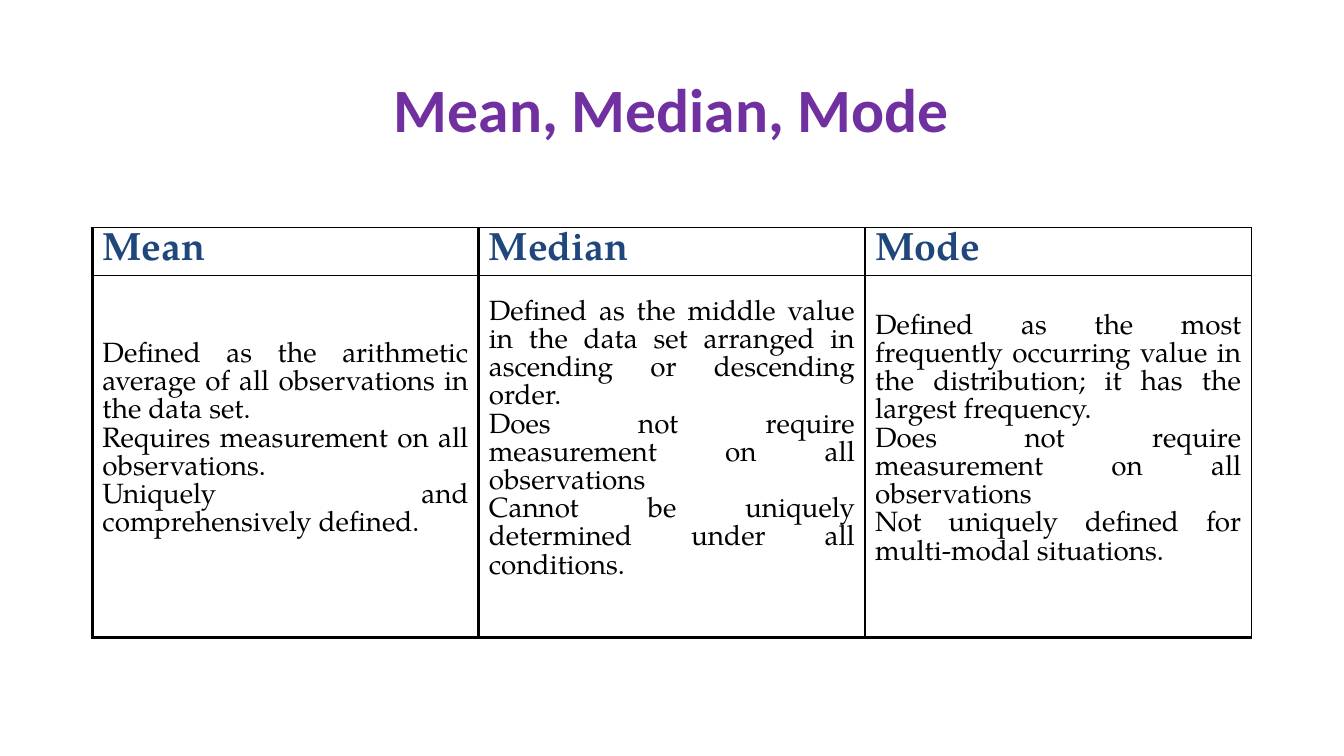
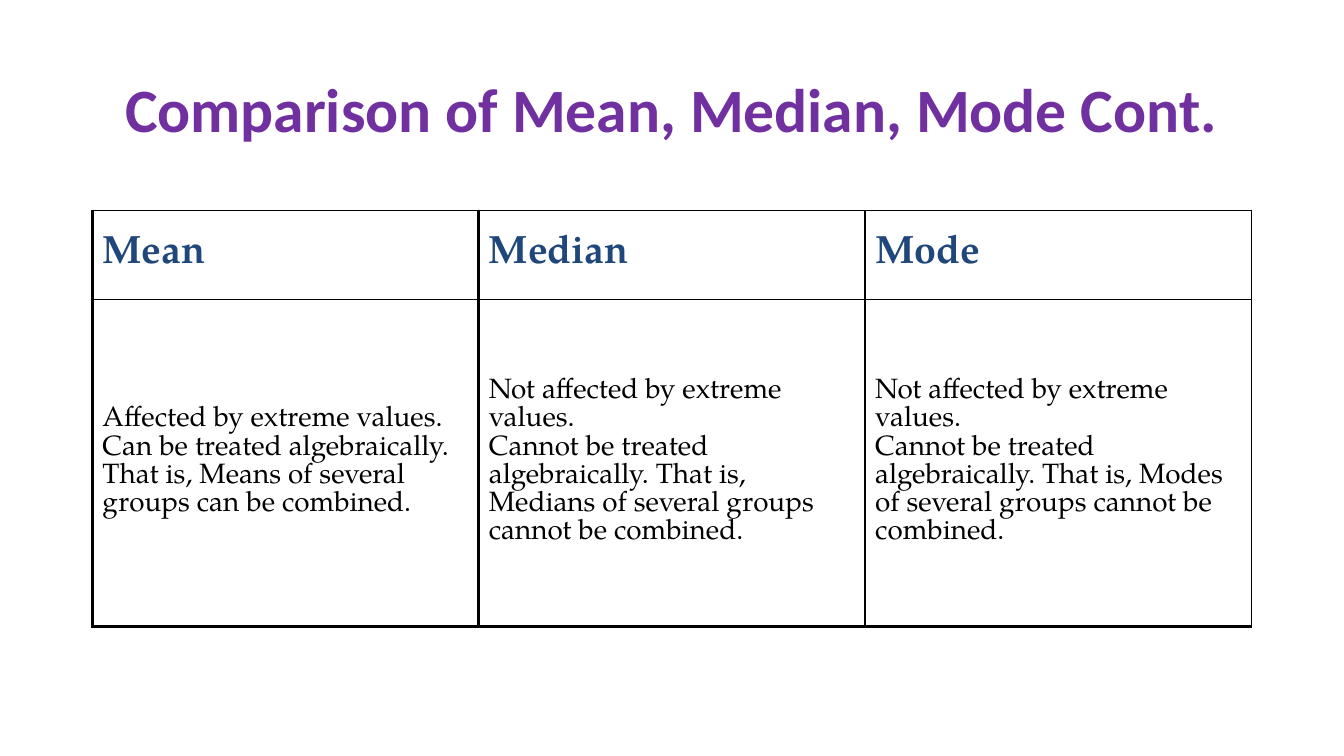
from dataclasses import dataclass

from lxml import etree
from pptx import Presentation
from pptx import util as u
from pptx.dml import color
from pptx.enum import text
from pptx.oxml import ns


@dataclass(frozen=True)
class Theme:
    """Colours, fonts and sizes shared by the slides."""
    title_color: str = "7030A0"
    header_color: str = "1F477B"
    ink: str = "000000"
    title_font: str = "Calibri"
    table_font: str = "TeX Gyre Pagella"
    title_size: float = 44
    header_size: float = 28.1
    body_size: float = 19.9
    thin: float = 0.75
    thick: float = 2.25


THEME = Theme()
PX = 9525
SLIDE_SIZE = (1280, 720)
TITLE_BOX = (88, 38, 1104, 139)
HEADERS = ["Mean", "Median", "Mode"]
SLIDES = [
    dict(
        title="Mean, Median, Mode",
        box=(88, 217, 1104, 390),
        header_height=45,
        bottom_margin=29,
        align=text.PP_ALIGN.JUSTIFY,
        columns=[
            ["Defined as the arithmetic average of all observations in the data set.",
             "Requires measurement on all observations.",
             "Uniquely and comprehensively defined."],
            ["Defined as the middle value in the data set arranged in ascending or descending order.",
             "Does not require measurement on all observations",
             "Cannot be uniquely determined under all conditions."],
            ["Defined as the most frequently occurring value in the distribution; "
             "it has the largest frequency.",
             "Does not require measurement on all observations",
             "Not uniquely defined for multi-modal situations."],
        ],
    ),
    dict(
        title="Comparison of Mean, Median, Mode Cont.",
        box=(88, 200, 1104, 397),
        header_height=85,
        bottom_margin=0,
        align=text.PP_ALIGN.LEFT,
        columns=[
            ["Affected by extreme values.",
             "Can be treated algebraically. That is, Means of several groups can be combined."],
            ["Not affected by extreme values.",
             "Cannot be treated algebraically. That is, Medians of several groups cannot be combined."],
            ["Not affected by extreme values.",
             "Cannot be treated algebraically. That is, Modes of several groups cannot be combined."],
        ],
    ),
]


def px(length):
    """Turn pixels into EMU."""
    return u.Emu(length * PX)


def write_text(frame, lines, *, font, size, ink, bold=False,
               align=text.PP_ALIGN.LEFT, spacing=None):
    """Fill a text frame with one formatted paragraph per line."""
    for index, line in enumerate(lines):
        paragraph = frame.add_paragraph() if index else frame.paragraphs[0]
        paragraph.alignment = align
        if spacing:
            paragraph.line_spacing = spacing
        run = paragraph.add_run()
        run.text = line
        run.font.name = font
        run.font.size = u.Pt(size)
        run.font.bold = bold
        run.font.color.rgb = color.RGBColor.from_string(ink)


def set_borders(cell, **widths):
    """Draw solid cell borders, in schema order, ahead of the cell fill."""
    properties = cell._tc.get_or_add_tcPr()
    for index, side in enumerate("LRTB"):
        line = etree.Element(ns.qn(f"a:ln{side}"), w=str(u.Pt(widths[side])))
        fill = etree.SubElement(line, ns.qn("a:solidFill"))
        etree.SubElement(fill, ns.qn("a:srgbClr"), val=THEME.ink)
        properties.insert(index, line)


def add_title(slide, box, title):
    """Place and format the title placeholder."""
    shape = slide.shapes.title
    shape.left, shape.top, shape.width, shape.height = map(px, box)
    frame = shape.text_frame
    frame.word_wrap = True
    frame.auto_size = text.MSO_AUTO_SIZE.NONE
    frame.vertical_anchor = text.MSO_ANCHOR.MIDDLE
    write_text(frame, [title], font=THEME.title_font, size=THEME.title_size,
               ink=THEME.title_color, bold=True,
               align=text.PP_ALIGN.CENTER, spacing=0.9)


def add_comparison_table(slide, box, header_height, bottom_margin, align, columns):
    """Add a table with a header row and one body cell per measure."""
    left, top, width, height = box
    table = slide.shapes.add_table(2, len(columns), *map(px, box)).table
    table.first_row = table.horz_banding = False
    for row, row_height in zip(table.rows, (header_height, height - header_height)):
        row.height = px(row_height)
    for index, (header, lines) in enumerate(zip(HEADERS, columns)):
        table.columns[index].width = px(width // len(columns))
        head, body = table.cell(0, index), table.cell(1, index)
        right = THEME.thin if index == len(columns) - 1 else THEME.thick
        for cell, bottom in ((head, THEME.thin), (body, THEME.thick)):
            cell.fill.background()
            cell.vertical_anchor = text.MSO_ANCHOR.MIDDLE
            cell.margin_top = cell.margin_bottom = 0
            set_borders(cell, L=THEME.thick, R=right, T=THEME.thin, B=bottom)
        body.margin_bottom = px(bottom_margin)
        write_text(head.text_frame, [header], font=THEME.table_font,
                   size=THEME.header_size, ink=THEME.header_color, bold=True)
        write_text(body.text_frame, lines, font=THEME.table_font,
                   size=THEME.body_size, ink=THEME.ink, align=align)


def add_comparison_slide(presentation, title, **table):
    """Add a titled slide holding one comparison table."""
    slide = presentation.slides.add_slide(presentation.slide_layouts[5])
    add_title(slide, TITLE_BOX, title)
    add_comparison_table(slide, **table)


def main():
    """Build and save the presentation."""
    presentation = Presentation()
    presentation.slide_width, presentation.slide_height = map(px, SLIDE_SIZE)
    for content in SLIDES:
        add_comparison_slide(presentation, **content)
    presentation.save("out.pptx")


if __name__ == "__main__":
    main()
